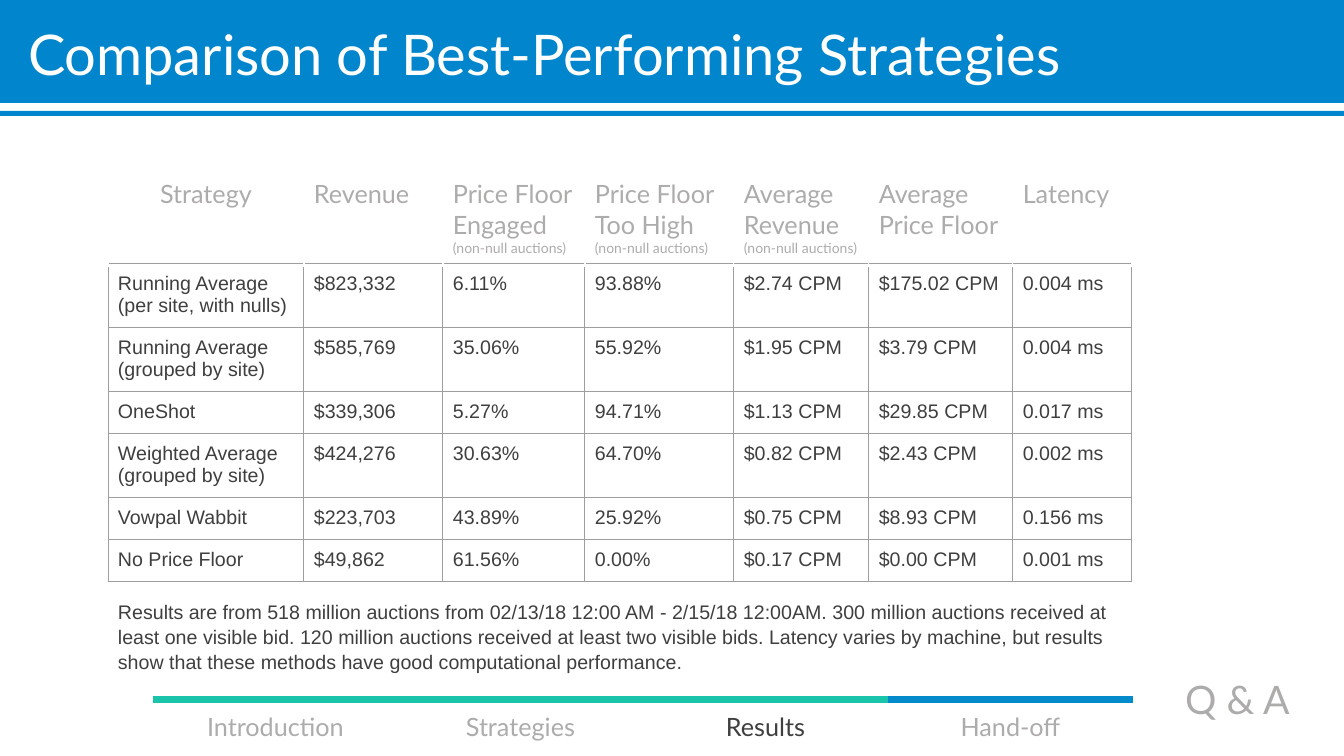
from dataclasses import dataclass

from lxml import etree
from pptx import Presentation, util as u
from pptx.dml.color import RGBColor
from pptx.enum import shapes, text
from pptx.oxml import ns

# Content
TITLE = "Comparison of Best-Performing Strategies"
HEADINGS = [
    "Strategy",
    "Revenue",
    "Price Floor Engaged\n(non-null auctions)",
    "Price Floor Too High\n(non-null auctions)",
    "Average Revenue\n(non-null auctions)",
    "Average Price Floor",
    "Latency",
]
RESULTS = [
    ("Running Average\n(per site, with nulls)", "$823,332", "6.11%", "93.88%",
     "$2.74 CPM", "$175.02 CPM", "0.004 ms"),
    ("Running Average\n(grouped by site)", "$585,769", "35.06%", "55.92%",
     "$1.95 CPM", "$3.79 CPM", "0.004 ms"),
    ("OneShot", "$339,306", "5.27%", "94.71%",
     "$1.13 CPM", "$29.85 CPM", "0.017 ms"),
    ("Weighted Average\n(grouped by site)", "$424,276", "30.63%", "64.70%",
     "$0.82 CPM", "$2.43 CPM", "0.002 ms"),
    ("Vowpal Wabbit", "$223,703", "43.89%", "25.92%",
     "$0.75 CPM", "$8.93 CPM", "0.156 ms"),
    ("No Price Floor", "$49,862", "61.56%", "0.00%",
     "$0.17 CPM", "$0.00 CPM", "0.001 ms"),
]
NOTE = (
    "Results are from 518 million auctions from 02/13/18 12:00 AM - 2/15/18 12:00AM. "
    "300 million auctions received at least one visible bid. 120 million auctions "
    "received at least two visible bids. Latency varies by machine, but results show "
    "that these methods have good computational performance."
)
STEPS = ["Introduction", "Strategies", "Results", "Hand-off"]
CURRENT_STEP = "Results"
LAST_STEP = "Q & A"


@dataclass(frozen=True)
class Theme:
    banner: str = "0185CC"
    track: str = "028ACA"
    progress: str = "19C4AA"
    muted: str = "AEABAB"
    ink: str = "3F3F3F"
    white: str = "FFFFFF"
    grid: str = "9E9E9E"
    display: str = "Lato"
    body: str = "Arial"
    title_size: int = 40
    last_step_size: int = 28
    label_size: int = 18
    body_size: int = 14
    small_size: int = 10


THEME = Theme()

# Layout in px
PAGE_W, PAGE_H = 1344, 756
TABLE_X, HEADING_Y, RESULTS_Y = 108, 169, 263
COLUMNS = [196, 139, 142, 149, 135, 144, 119]
HEADING_H, ROW_H, LINE_H = 94, 42, 22
TRACK_X, TRACK_Y, STEP_W = 153, 700, 245
CENTER = text.PP_ALIGN.CENTER


def px(length):
    return u.Emu(round(length * 914400 / 100.8))


def style(para, size, color, font, align=None):
    para.alignment = align
    for span in para.runs:
        span.font.size = u.Pt(size)
        span.font.name = font
        span.font.color.rgb = RGBColor.from_string(color)


def set_margins(target, x, y):
    target.margin_left = target.margin_right = px(x)
    target.margin_top = target.margin_bottom = px(y)


def add_label(page, wording, area, size, color, font, align=None):
    box = page.shapes.add_textbox(*map(px, area))
    frame = box.text_frame
    frame.word_wrap = True
    set_margins(frame, 10, 5)
    frame.text = wording
    style(frame.paragraphs[0], size, color, font, align)
    return frame


def add_bar(page, y, height):
    bar = page.shapes.add_shape(shapes.MSO_SHAPE.RECTANGLE, 0, px(y), px(PAGE_W), px(height))
    bar.shadow.inherit = False
    bar.fill.solid()
    bar.fill.fore_color.rgb = RGBColor.from_string(THEME.banner)
    bar.line.fill.background()


def add_track(page, steps, color):
    end = TRACK_X + steps * STEP_W
    line = page.shapes.add_connector(
        shapes.MSO_CONNECTOR.STRAIGHT, px(TRACK_X), px(TRACK_Y), px(end), px(TRACK_Y))
    line.line.width = u.Pt(5)
    line.line.color.rgb = RGBColor.from_string(color)
    etree.SubElement(line.element.spPr, ns.qn("a:effectLst"))


def add_borders(cell):
    props = cell._tc.get_or_add_tcPr()
    for index, side in enumerate(("lnL", "lnR", "lnT", "lnB")):
        border = etree.Element(ns.qn("a:" + side), w=str(u.Pt(0.75)))
        fill = etree.SubElement(border, ns.qn("a:solidFill"))
        etree.SubElement(fill, ns.qn("a:srgbClr"), val=THEME.grid)
        props.insert(index, border)


def add_grid(page, y, rows, heights):
    frame = page.shapes.add_table(
        len(rows), len(COLUMNS), px(TABLE_X), px(y), px(sum(COLUMNS)), px(sum(heights)))
    table = frame.table
    table.first_row = table.horz_banding = False
    for column, width in zip(table.columns, COLUMNS):
        column.width = px(width)
    for row, height, values in zip(table.rows, heights, rows):
        row.height = px(height)
        for cell, value in zip(row.cells, values):
            cell.text_frame.text = value
            set_margins(cell, 10, 10)
            cell.fill.background()
    return table


# Deck
deck = Presentation()
deck.slide_width, deck.slide_height = px(PAGE_W), px(PAGE_H)
page = deck.slides.add_slide(deck.slide_layouts[5])

# Progress track
add_track(page, len(STEPS), THEME.track)
add_track(page, STEPS.index(CURRENT_STEP) + 1, THEME.progress)
for index, step in enumerate(STEPS):
    color = THEME.ink if step == CURRENT_STEP else THEME.muted
    add_label(page, step, (TRACK_X + index * STEP_W, 706, STEP_W, 40),
              THEME.label_size, color, THEME.display, CENTER)
add_label(page, LAST_STEP, (1115, 670, STEP_W, 57),
          THEME.last_step_size, THEME.muted, THEME.display, CENTER)

# Banner and title, with the title in front
add_bar(page, 0, 103)
add_bar(page, 111, 5)
title = page.shapes.title
title.left, title.top, title.width, title.height = map(px, (18, 15, 1283, 72))
title.text_frame.text = TITLE
title.text_frame.auto_size = text.MSO_AUTO_SIZE.NONE
title.text_frame.vertical_anchor = text.MSO_ANCHOR.TOP
set_margins(title.text_frame, 10, 5)
style(title.text_frame.paragraphs[0], THEME.title_size, THEME.white, THEME.display,
      text.PP_ALIGN.LEFT)
page.shapes.element.append(title.element)

# Results table
heights = [ROW_H + LINE_H * row[0].count("\n") for row in RESULTS]
results = add_grid(page, RESULTS_Y, RESULTS, heights)
for cell in results.iter_cells():
    add_borders(cell)
    for para in cell.text_frame.paragraphs:
        style(para, THEME.body_size, THEME.ink, THEME.body)

# Column headings
headings = add_grid(page, HEADING_Y, [HEADINGS], [HEADING_H])
for index, cell in enumerate(headings.iter_cells()):
    for para in cell.text_frame.paragraphs:
        size = THEME.small_size if para.text.startswith("(") else THEME.label_size
        style(para, size, THEME.muted, THEME.display, CENTER if index == 0 else None)

# Note below the table
note = add_label(page, NOTE, (TABLE_X, 594, 1030, 84),
                 THEME.body_size, THEME.ink, THEME.body)
set_margins(note, 10, 10)
note.vertical_anchor = text.MSO_ANCHOR.MIDDLE
note.paragraphs[0].line_spacing = 1.07

deck.save("out.pptx")
